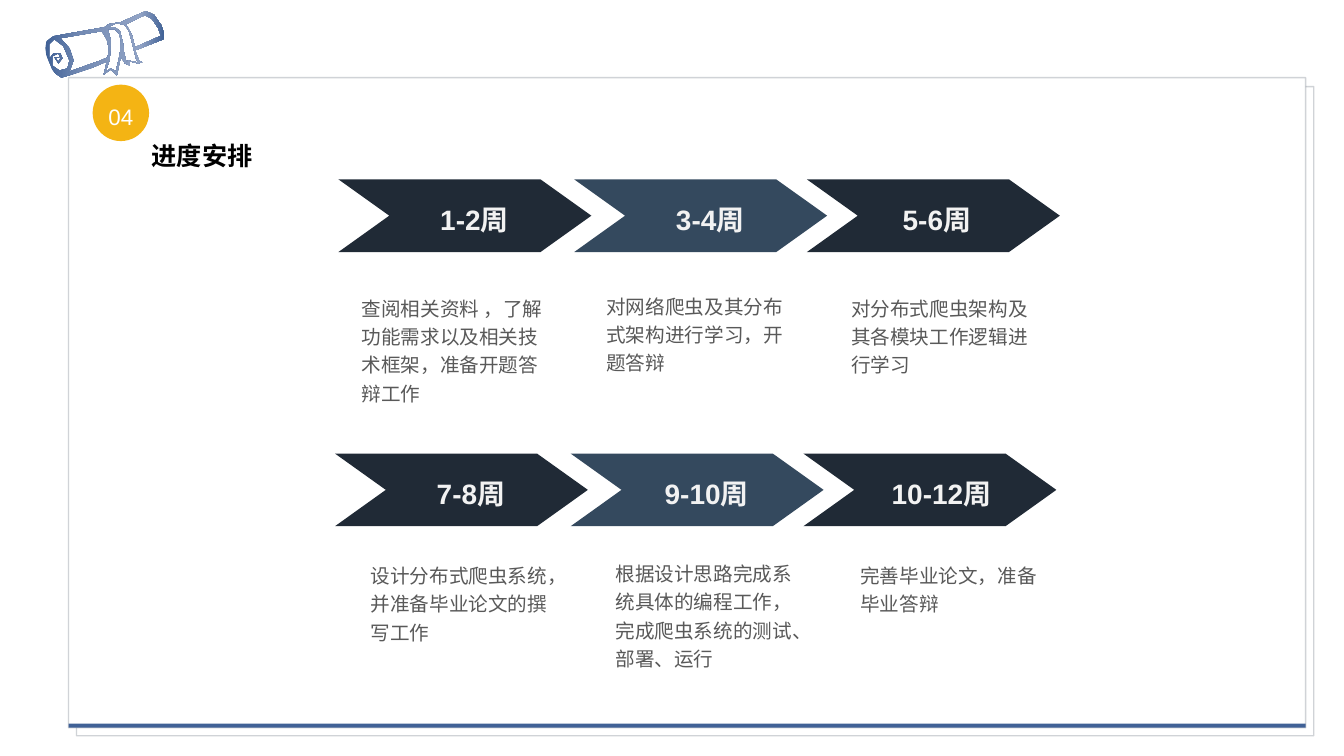
from copy import deepcopy

from lxml.etree import SubElement
from pptx import Presentation
from pptx.dml.color import RGBColor
from pptx.enum.shapes import MSO_SHAPE as Preset
from pptx.enum.text import MSO_ANCHOR as Anchor, PP_ALIGN as Align
from pptx.oxml.ns import qn
from pptx.util import Inches, Pt

WHITE = RGBColor(0xFF, 0xFF, 0xFF)
BLACK = RGBColor(0x00, 0x00, 0x00)
PALE = RGBColor(0xF2, 0xF2, 0xF2)
GRAY = RGBColor(0x59, 0x59, 0x59)
FRAME = RGBColor(0x57, 0x62, 0x70)
NAVY = RGBColor(0x20, 0x2A, 0x36)
SLATE = RGBColor(0x34, 0x49, 0x5E)
BLUE = RGBColor(0x40, 0x61, 0x96)
MID_BLUE = RGBColor(0x74, 0x8B, 0xB4)
LIGHT_BLUE = RGBColor(0x91, 0xA3, 0xC5)
GOLD = RGBColor(0xF4, 0xB4, 0x14)

COLUMNS, ROWS = 133.4, 75
CELL = Inches(0.1)

SCROLL_OUTLINES = [
    [(16.3, 3.4), (16, 2.5), (15.3, 1.5), (14.5, 1.1), (13.8, 1.4), (12, 2.2), (10.8, 2.4),
     (10.4, 2.7), (6.4, 3.4), (5.3, 3.6), (4.6, 4.1), (4.5, 4.8), (4.6, 5.5), (5.2, 6.9),
     (5.5, 7.3), (6.1, 7.7), (6.8, 7.5), (9.2, 6.7), (10.6, 6.1), (10.3, 7.4), (11, 6.9),
     (11.6, 7.5), (12, 5.6), (12.4, 6.3), (12.9, 6.5), (12.9, 6.1), (13.7, 6.3), (14.1, 6.2),
     (13.8, 6), (13.4, 5), (14.7, 4.5), (16.2, 3.9)],
    [(5.9, 7), (5.2, 6.5), (5.2, 5.6), (5.8, 5.3), (6, 5.8), (5.8, 6.1), (5.5, 5.8),
     (5.9, 5.7), (5.4, 5.7), (5.8, 6.3), (6.2, 5.8), (6, 5.3), (5.3, 5.3), (4.9, 5.8),
     (4.9, 4.4), (5.4, 3.9), (6.3, 4.6), (6.9, 6), (6.7, 6.8)],
    [(10, 6), (6.9, 7.1), (7.3, 6), (6.9, 4.8), (6, 3.8), (10.1, 3.1), (10.6, 3.9),
     (10.8, 4.8), (10.7, 5.7)],
    [(11.9, 5.4), (11.5, 7.1), (11, 6.8), (10.5, 7.1), (10.9, 5.9), (11, 4), (10.7, 2.9),
     (11.4, 2.9), (11.8, 3.3), (12, 4)],
    [(13.5, 5.8), (13.7, 6.2), (12.7, 6), (12.6, 6.4), (12.3, 5.2), (12.2, 4.2), (11.9, 3.1),
     (11.4, 2.7), (10.7, 2.7), (11.6, 2.3), (12.4, 2.5), (12.8, 3.1), (13.2, 4.6)],
    [(15.9, 3.6), (15.2, 3.9), (13.4, 4.7), (13.1, 3.5), (12.5, 2.4), (14.4, 1.5),
     (15.1, 1.9), (15.7, 2.8), (16, 3.6)],
]

SCHEDULE = [
    [("1-2周", 1.9, "查阅相关资料 ，了解功能需求以及相关技术框架，准备开题答辩工作"),
     ("3-4周", 1.9, "对网络爬虫及其分布式架构进行学习，开题答辩"),
     ("5-6周", 0.7, "对分布式爬虫架构及其各模块工作逻辑进行学习")],
    [("7-8周", 1.9, "设计分布式爬虫系统，并准备毕业论文的撰写工作"),
     ("9-10周", 1.9, "根据设计思路完成系统具体的编程工作，完成爬虫系统的测试、部署、运行"),
     ("10-12周", 2.3, "完善毕业论文，准备毕业答辩")],
]
STAGES = [
    {"left": 33.6, "fill": NAVY, "note_width": 20.9, "note_top": 28.5},
    {"left": 57, "fill": SLATE, "note_width": 20.5, "note_top": 28.3},
    {"left": 80.1, "fill": NAVY, "note_width": 20.7, "note_top": 28.5},
]


def cells(count):
    return round(count * CELL)


def write(frame, text, size, color, bold=False, align=Align.LEFT, anchor=Anchor.TOP,
          spacing=None, before=None, wrap=True, insets=(1, 0.5, 1, 0.5)):
    frame.word_wrap = wrap
    frame.vertical_anchor = anchor
    frame.margin_left, frame.margin_top, frame.margin_right, frame.margin_bottom = map(cells, insets)
    paragraph = frame.paragraphs[0]
    paragraph.alignment = align
    paragraph.line_spacing = spacing
    paragraph.space_before = before
    run = paragraph.add_run()
    run.text = text
    run.font.name = "Arial"
    run.font.size = Pt(size)
    run.font.bold = bold
    run.font.color.rgb = color


class Board:
    def __init__(self, slide):
        self.shapes = slide.shapes

    def block(self, preset, left, top, width, height, fill=None):
        block = self.shapes.add_shape(preset, *map(cells, (left, top, width, height)))
        block.shadow.inherit = False
        block.line.fill.background()
        if fill is None:
            block.fill.background()
        else:
            block.fill.solid()
            block.fill.fore_color.rgb = fill
        return block

    def panel(self, left, top, width, height, fill=None):
        panel = self.block(Preset.RECTANGLE, left, top, width, height, fill)
        panel.line.color.rgb = FRAME
        panel.line.width = Pt(1)
        tint = panel.line._ln.find(".//" + qn("a:srgbClr"))
        SubElement(tint, qn("a:alpha"), val="27000")

    def chevron(self, left, top, fill, label, shift):
        chevron = self.block(Preset.CHEVRON, left, top, 25.1, 7.2, fill)
        chevron.adjustments[0] = 0.7
        write(chevron.text_frame, label, 20, PALE, bold=True, align=Align.CENTER,
              anchor=Anchor.MIDDLE, spacing=1.2, insets=(shift, 0, 0, 0))

    def text(self, left, top, width, height, text, **style):
        box = self.shapes.add_textbox(*map(cells, (left, top, width, height)))
        write(box.text_frame, text, **style)

    def drawing(self, outlines, stops):
        first, *holes = [[(cells(x), cells(y)) for x, y in outline] for outline in outlines]
        pen = self.shapes.build_freeform(*first[0])
        pen.add_line_segments(first[1:], close=True)
        for hole in holes:
            pen.move_to(*hole[0])
            pen.add_line_segments(hole[1:], close=True)
        drawing = pen.convert_to_shape()
        drawing.shadow.inherit = False
        drawing.line.fill.background()
        drawing.fill.gradient()
        drawing.fill.gradient_angle = 0
        stop_list = drawing._element.spPr.find(".//" + qn("a:gsLst"))
        while len(stop_list) < len(stops):
            stop_list.append(deepcopy(stop_list[0]))
        for stop, (position, color) in zip(drawing.fill.gradient_stops, stops):
            stop.position = position
            stop.color.rgb = color


def main():
    deck = Presentation()
    deck.slide_width, deck.slide_height = cells(COLUMNS), cells(ROWS)
    board = Board(deck.slides.add_slide(deck.slide_layouts[6]))

    board.panel(7.6, 8.6, 122.8, 64.4)
    board.panel(6.8, 7.7, 122.8, 64.5, WHITE)
    board.drawing(SCROLL_OUTLINES, [(0, BLUE), (0.3, MID_BLUE), (0.8, LIGHT_BLUE), (1, BLUE)])
    board.block(Preset.RECTANGLE, 6.8, 71.8, 122.8, 0.4, BLUE)

    board.text(14, 13.4, 12.1, 4, "进度安排", size=18, color=BLACK, bold=True,
               align=Align.CENTER, before=Pt(5), wrap=False)
    badge = board.block(Preset.OVAL, 9.2, 8.4, 5.6, 5.6, GOLD)
    write(badge.text_frame, "04", 16, WHITE, align=Align.CENTER, anchor=Anchor.MIDDLE,
          spacing=1.3, wrap=False, insets=(0, 0, 0, 0))

    for row, entries in enumerate(SCHEDULE):
        for column, (stage, (weeks, shift, task)) in enumerate(zip(STAGES, entries)):
            board.chevron(stage["left"] - 0.35 * row, 17.8 + 27.2 * row, stage["fill"], weeks, shift)
            board.text(34.9 + 24.3 * column + 0.9 * row, stage["note_top"] + 26.5 * row,
                       stage["note_width"], 9.2, task, size=14, color=GRAY, spacing=1.2)

    deck.save("out.pptx")


if __name__ == "__main__":
    main()
